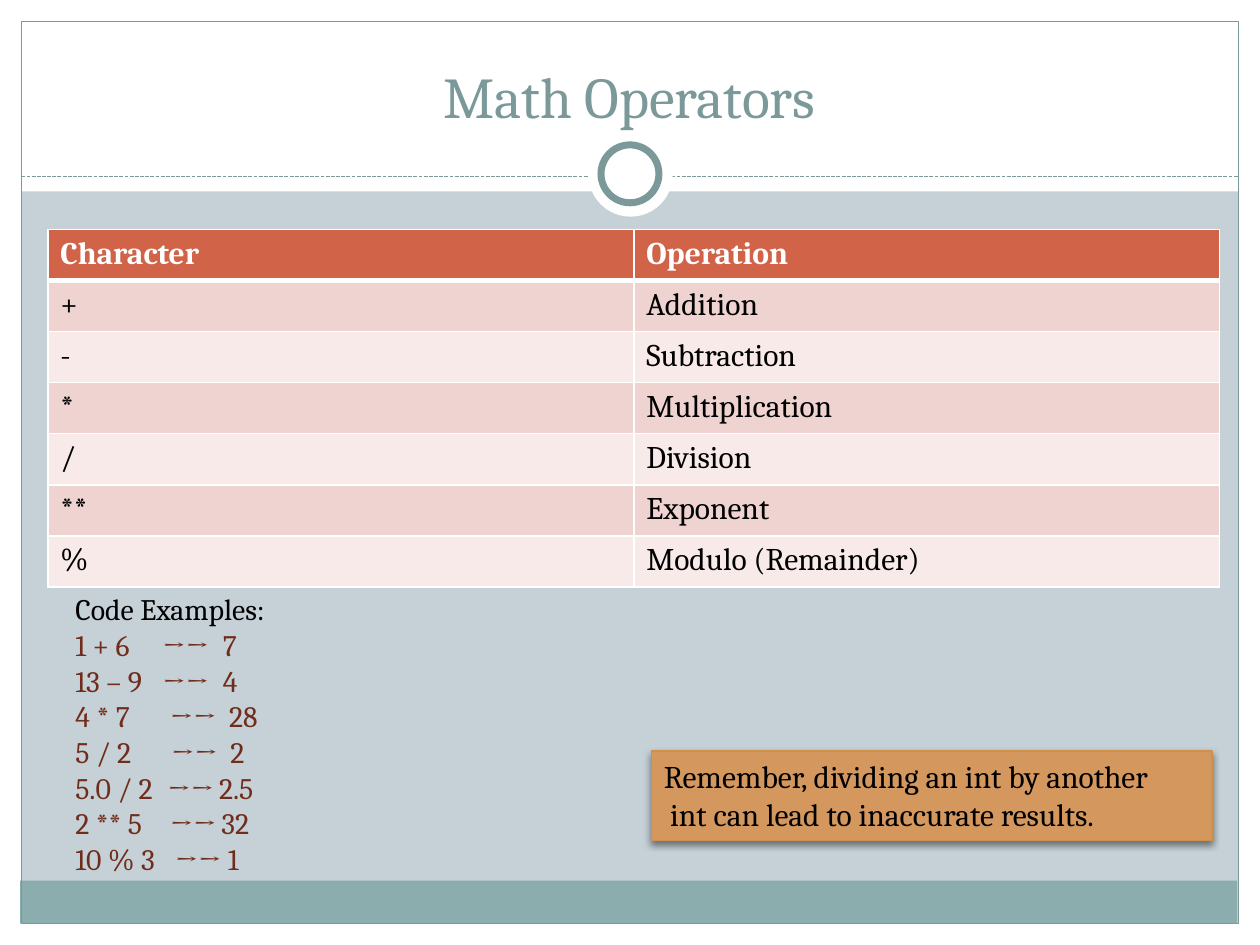
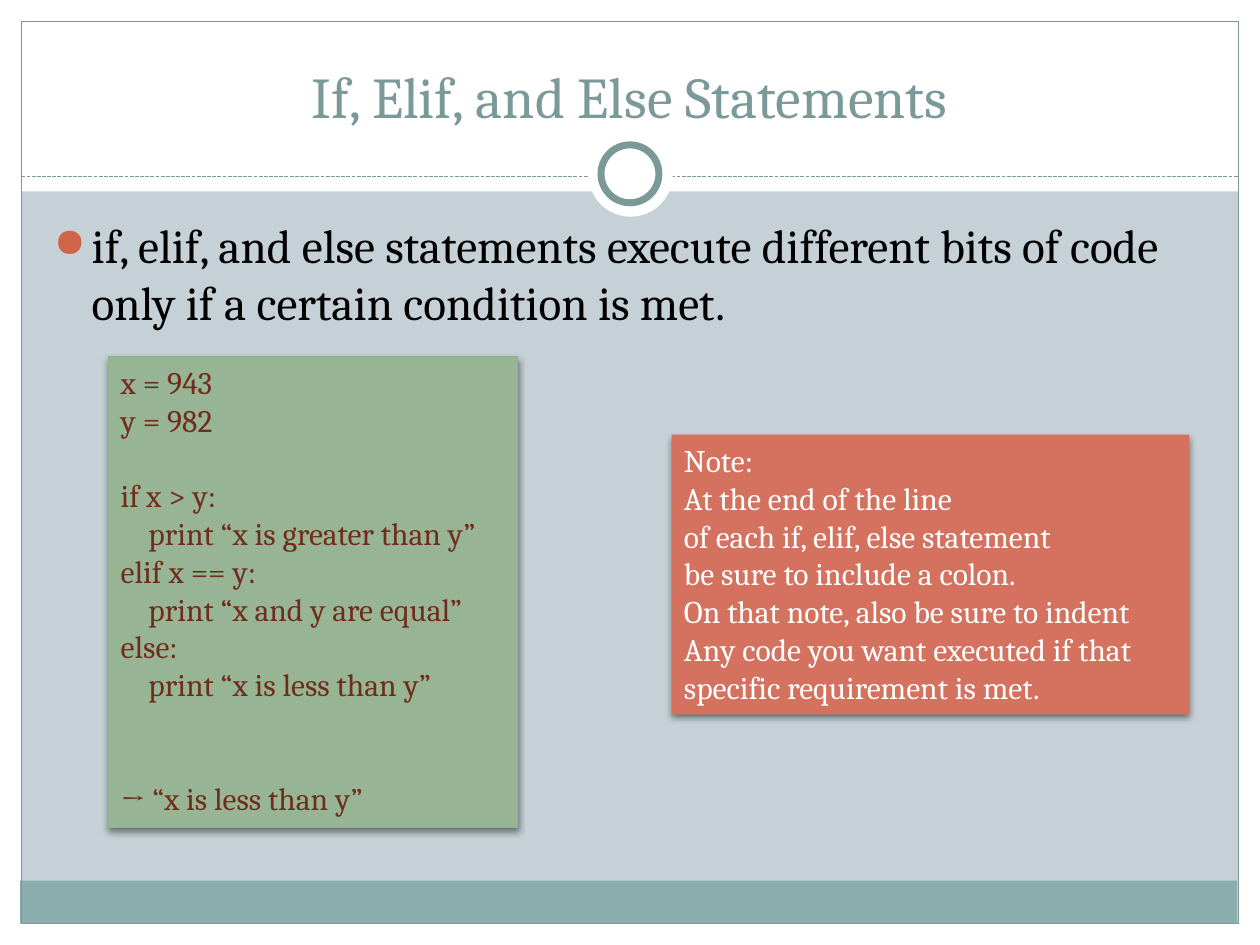
from lxml.etree import SubElement
from pptx import Presentation
from pptx.dml.color import RGBColor
from pptx.enum.dml import MSO_LINE
from pptx.enum.shapes import MSO_CONNECTOR, MSO_SHAPE
from pptx.enum.text import MSO_ANCHOR, PP_ALIGN
from pptx.oxml import parse_xml
from pptx.oxml.ns import nsdecls, qn
from pptx.util import Inches, Pt

FONT = "Cambria"
WHITE = RGBColor(0xFF, 0xFF, 0xFF)
BLACK = RGBColor(0, 0, 0)
BACKGROUND = RGBColor(0xC5, 0xD1, 0xD7)
BAND = RGBColor(0x8C, 0xAD, 0xAE)
SLATE = RGBColor(0x7C, 0x99, 0x9A)
HEADER = RGBColor(0xD1, 0x63, 0x49)
ROW_FILLS = (RGBColor(0xF7, 0xEA, 0xE9), RGBColor(0xEE, 0xD3, 0xD0))
CODE = RGBColor(0x71, 0x2D, 0x1C)
ORANGE = RGBColor(0xD4, 0x98, 0x5F)
ORANGE_EDGE = RGBColor(0xD1, 0x90, 0x49)
GREEN = RGBColor(0x97, 0xB5, 0x95)
GREEN_EDGE = RGBColor(0x8F, 0xB0, 0x8C)
RED = RGBColor(0xD4, 0x72, 0x5F)

LINE_HEIGHT = 21.65

OPERATORS = [
    ("Character", "Operation"),
    ("+", "Addition"),
    ("-", "Subtraction"),
    ("*", "Multiplication"),
    ("/", "Division"),
    ("**", "Exponent"),
    ("%", "Modulo (Remainder)"),
]

# expression, arrow stop, result, result stop
EXAMPLES = [
    ("1 + 6", 0.69, "7", 1.17),
    ("13 – 9", 0.69, "4", 1.17),
    ("4 * 7", 0.75, "28", 1.22),
    ("5 / 2", 0.76, "2", 1.23),
    ("5.0 / 2", 0.73, "2.5", 1.14),
    ("2 ** 5", 0.75, "32", 1.16),
    ("10 % 3", 0.79, "1", 1.21),
]

# text, indent in inches, blank lines before
REMINDER = [
    ("Remember, dividing an int by another", 0, 0),
    ("int can lead to inaccurate results.", 0.05, 0),
]
BRANCHES = [
    ("x = 943", 0, 0),
    ("y = 982", 0, 0),
    ("if x > y:", 0, 1),
    ("print “x is greater than y”", 0.22, 0),
    ("elif x == y:", 0, 0),
    ("print “x and y are equal”", 0.22, 0),
    ("else:", 0, 0),
    ("print “x is less than y”", 0.22, 0),
    ("→ “x is less than y”", 0, 2),
]
NOTE = [(text, 0, 0) for text in (
    "Note:",
    "At the end of the line",
    "of each if, elif, else statement",
    "be sure to include a colon.",
    "On that note, also be sure to indent",
    "Any code you want executed if that",
    "specific requirement is met.",
)]


def add_span(para, text, size, color, bold=False):
    span = para.add_run()
    span.text = text
    span.font.name = FONT
    span.font.size = Pt(size)
    span.font.bold = bold
    span.font.color.rgb = color


def next_para(frame, index):
    return frame.add_paragraph() if index else frame.paragraphs[0]


def add_text_box(page, left, top, width, height):
    box = page.shapes.add_textbox(
        Inches(left), Inches(top), Inches(width), Inches(height))
    box.text_frame.word_wrap = True
    return box.text_frame


def add_block(page, kind, left, top, width, height, fill=None, line=None, weight=0.75):
    block = page.shapes.add_shape(
        kind, Inches(left), Inches(top), Inches(width), Inches(height))
    block.shadow.inherit = False
    if fill is None:
        block.fill.background()
    else:
        block.fill.solid()
        block.fill.fore_color.rgb = fill
    if line is None:
        block.line.fill.background()
    else:
        block.line.color.rgb = line
        block.line.width = Pt(weight)
    return block


def add_frame(page):
    page.background.fill.solid()
    page.background.fill.fore_color.rgb = BACKGROUND
    for margin in ((0, 7.33, 10, 0.17), (0, 0, 10, 1.52),
                   (0, 0, 0.17, 7.5), (9.83, 0, 0.17, 7.5)):
        add_block(page, MSO_SHAPE.RECTANGLE, *margin, fill=WHITE)
    add_block(page, MSO_SHAPE.RECTANGLE, 0.16, 6.99, 9.66, 0.34, fill=BAND)
    add_block(page, MSO_SHAPE.RECTANGLE, 0.17, 0.17, 9.66, 7.16, line=SLATE)
    rule = page.shapes.add_connector(
        MSO_CONNECTOR.STRAIGHT, Inches(0.17), Inches(1.4), Inches(9.83), Inches(1.4))
    rule.line.color.rgb = SLATE
    rule.line.width = Pt(0.75)
    rule.line.dash_style = MSO_LINE.SQUARE_DOT
    SubElement(rule._element.spPr, qn("a:effectLst"))
    add_block(page, MSO_SHAPE.OVAL, 4.67, 1.05, 0.67, 0.67, fill=WHITE)
    add_block(page, MSO_SHAPE.OVAL, 4.77, 1.15, 0.46, 0.46, WHITE, SLATE, 4)


def add_page(deck, title):
    page = deck.slides.add_slide(deck.slide_layouts[6])
    add_frame(page)
    frame = add_text_box(page, 0.33, 0.25, 9.33, 0.83)
    frame.vertical_anchor = MSO_ANCHOR.BOTTOM
    para = frame.paragraphs[0]
    para.alignment = PP_ALIGN.CENTER
    add_span(para, title, 33, SLATE)
    return page


def add_shadow(block):
    effects = block._element.spPr.find(qn("a:effectLst"))
    effects.append(parse_xml(
        f'<a:outerShdw {nsdecls("a")} blurRad="{Pt(4)}" dist="{Pt(2)}" '
        'dir="5400000" rotWithShape="0"><a:srgbClr val="000000">'
        '<a:alpha val="45000"/></a:srgbClr></a:outerShdw>'))


def add_callout(page, area, lines, color, fill, edge=None):
    block = add_block(page, MSO_SHAPE.RECTANGLE, *area, fill=fill, line=edge)
    add_shadow(block)
    frame = block.text_frame
    frame.word_wrap = True
    frame.vertical_anchor = MSO_ANCHOR.TOP
    for index, (text, indent, gap) in enumerate(lines):
        para = next_para(frame, index)
        para.alignment = PP_ALIGN.LEFT
        para.space_before = Pt(gap * LINE_HEIGHT)
        para._p.get_or_add_pPr().set("marL", str(Inches(indent)))
        add_span(para, text, 18, color)


def set_borders(cell, bottom):
    properties = cell._tc.get_or_add_tcPr()
    for index, (side, weight) in enumerate(
            (("L", 1), ("R", 1), ("T", 1), ("B", bottom))):
        properties.insert(index, parse_xml(
            f'<a:ln{side} {nsdecls("a")} w="{Pt(weight)}"><a:solidFill>'
            f'<a:srgbClr val="{WHITE}"/></a:solidFill></a:ln{side}>'))


def add_operator_table(page):
    table = page.shapes.add_table(
        len(OPERATORS), 2, Inches(0.38), Inches(1.82), Inches(9.3), Inches(2.84)).table
    for row, labels in enumerate(OPERATORS):
        heading = row == 0
        for column, label in enumerate(labels):
            cell = table.cell(row, column)
            cell.fill.solid()
            cell.fill.fore_color.rgb = HEADER if heading else ROW_FILLS[row % 2]
            set_borders(cell, 3 if heading else 1)
            add_span(cell.text_frame.paragraphs[0], label, 18,
                     WHITE if heading else BLACK, heading)


def add_tab_stops(para, stops):
    tabs = SubElement(para._p.get_or_add_pPr(), qn("a:tabLst"))
    for stop in stops:
        SubElement(tabs, qn("a:tab"), pos=str(Inches(stop)), algn="l")


def add_examples(page):
    frame = add_text_box(page, 0.5, 4.64, 2.2, 2.39)
    add_span(frame.paragraphs[0], "Code Examples:", 17, BLACK)
    for expression, arrow_stop, result, result_stop in EXAMPLES:
        para = frame.add_paragraph()
        add_tab_stops(para, (arrow_stop, result_stop))
        add_span(para, f"{expression}\t→→\t{result}", 17, CODE)


def add_bullet(page, text):
    para = add_text_box(page, 0.33, 1.67, 9.3, 5).paragraphs[0]
    para.space_before = Pt(5.4)
    properties = para._p.get_or_add_pPr()
    properties.set("marL", str(Inches(0.3)))
    properties.set("indent", str(Inches(-0.3)))
    color = SubElement(properties, qn("a:buClr"))
    SubElement(color, qn("a:srgbClr"), val=str(HEADER))
    SubElement(properties, qn("a:buSzPct"), val="85000")
    SubElement(properties, qn("a:buChar"), char="●")
    add_span(para, text, 27, BLACK)


def main():
    deck = Presentation()
    deck.slide_width = Inches(10)
    deck.slide_height = Inches(7.5)

    page = add_page(deck, "Math Operators")
    add_operator_table(page)
    add_examples(page)
    add_callout(page, (5.17, 5.96, 4.45, 0.71), REMINDER, BLACK, ORANGE, ORANGE_EDGE)

    page = add_page(deck, "If, Elif, and Else Statements")
    add_bullet(page, "if, elif, and else statements execute different bits of code "
                     "only if a certain condition is met.")
    add_callout(page, (0.86, 2.83, 3.25, 3.74), BRANCHES, CODE, GREEN, GREEN_EDGE)
    add_callout(page, (5.33, 3.45, 4.11, 2.22), NOTE, WHITE, RED)

    deck.save("out.pptx")


if __name__ == "__main__":
    main()
